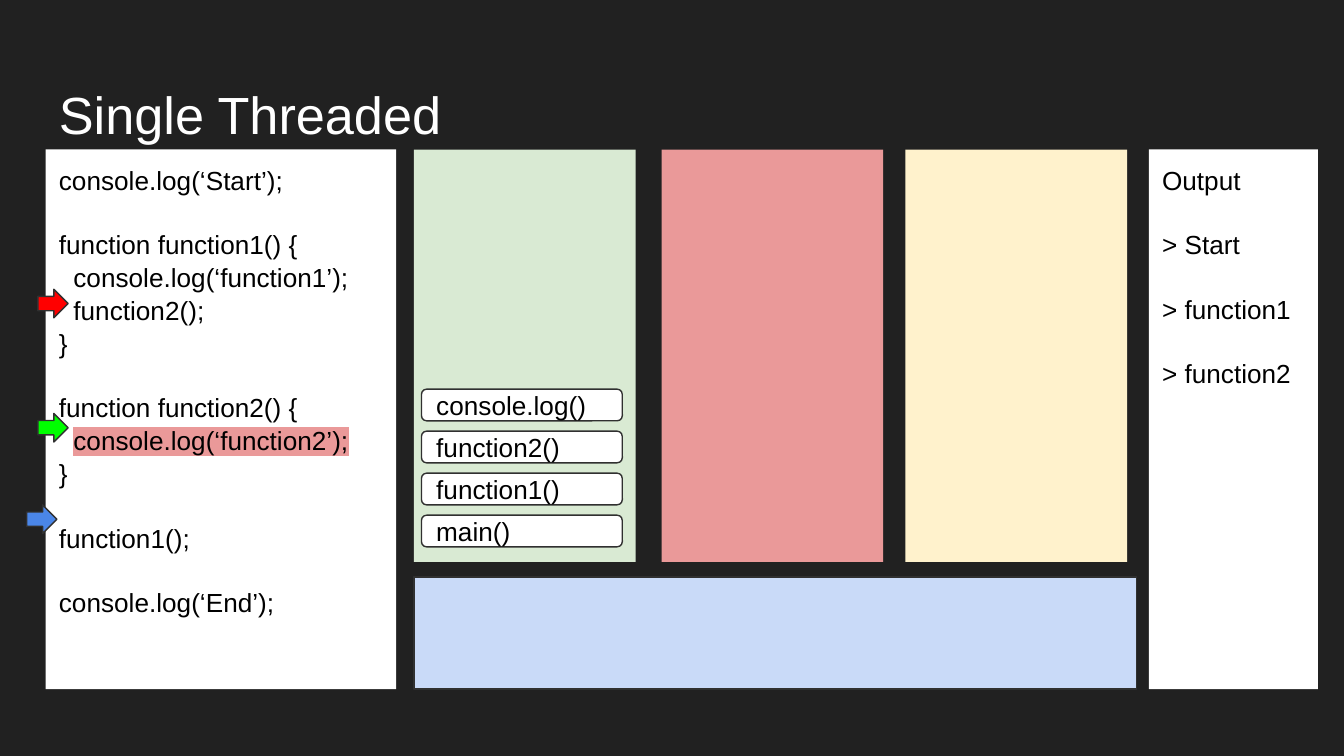
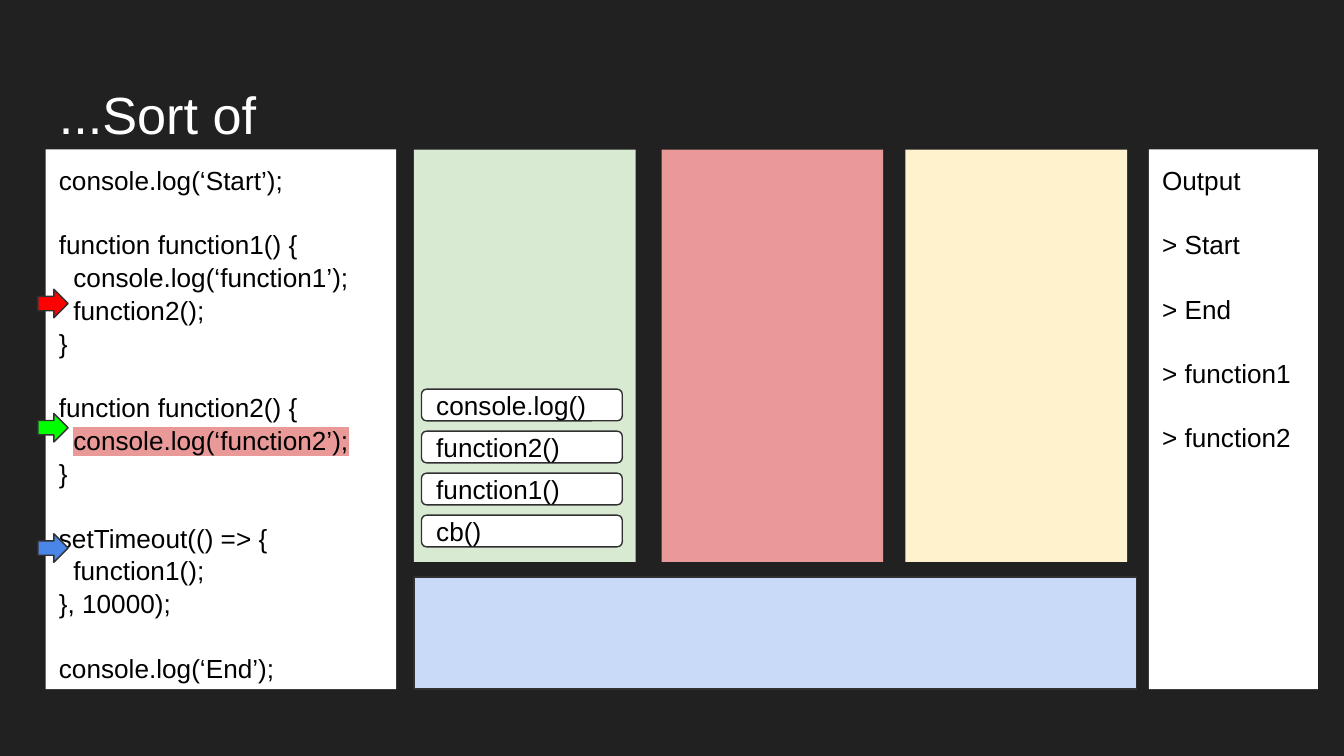
from lxml.etree import SubElement
from pptx import Presentation
from pptx.dml.color import RGBColor
from pptx.enum.shapes import MSO_SHAPE
from pptx.enum.text import MSO_ANCHOR, PP_ALIGN
from pptx.oxml.ns import qn
from pptx.util import Pt

BACKDROP = RGBColor(0x21, 0x21, 0x21)
WHITE = RGBColor(0xFF, 0xFF, 0xFF)
BLACK = RGBColor(0x00, 0x00, 0x00)
OUTLINE = RGBColor(0x30, 0x30, 0x30)
GREEN_PANEL = RGBColor(0xD9, 0xEA, 0xD3)
RED_PANEL = RGBColor(0xEA, 0x99, 0x99)
YELLOW_PANEL = RGBColor(0xFF, 0xF2, 0xCC)
BLUE_PANEL = RGBColor(0xC9, 0xDA, 0xF8)
RED = RGBColor(0xFF, 0x00, 0x00)
GREEN = RGBColor(0x00, 0xFF, 0x00)
BLUE = RGBColor(0x4A, 0x86, 0xE8)

FONT = "Arial"
BODY_SIZE = 14
TITLE_SIZE = 28
LINE_SPACING = 1.05
LINE_HEIGHT = 16.8
SPACE_WIDTH = 3.89
INSET = 7.2

PANEL_TOP = 80.1
COLUMN_HEIGHT = 220.9
SIDE_HEIGHT = 289.2
CALL_BOTTOM = 276
CALL_STEP = 22.5

FUNCTIONS = """console.log(‘Start’);

function function1() {
  console.log(‘function1’);
  function2();
}

function function2() {
  console.log(‘function2’);
}

"""
RUNNING = "console.log(‘function2’);"


class Deck:
    def __init__(self):
        self.presentation = Presentation()
        self.presentation.slide_width = Pt(720)
        self.presentation.slide_height = Pt(405)
        self.slide = None

    def new_slide(self, heading):
        self.slide = self.presentation.slides.add_slide(
            self.presentation.slide_layouts[6])
        fill = self.slide.background.fill
        fill.solid()
        fill.fore_color.rgb = BACKDROP
        title = self.slide.shapes.add_textbox(
            Pt(24.5), Pt(35.2), Pt(671), Pt(45.1))
        self.set_text(title, heading, TITLE_SIZE, WHITE)

    def set_text(self, holder, text, size=BODY_SIZE, color=BLACK,
                 anchor=MSO_ANCHOR.TOP, spacing=LINE_SPACING):
        frame = holder.text_frame
        frame.word_wrap = True
        frame.vertical_anchor = anchor
        frame.margin_left = frame.margin_right = Pt(INSET)
        frame.margin_top = frame.margin_bottom = Pt(INSET)
        paragraph = frame.paragraphs[0]
        gap = 0
        for line in text.splitlines():
            if not line:
                gap += LINE_HEIGHT
                continue
            if paragraph.runs:
                paragraph = frame.add_paragraph()
            statement = line.lstrip()
            indent = len(line) - len(statement)
            run = paragraph.add_run()
            run.text = statement
            paragraph.alignment = PP_ALIGN.LEFT
            paragraph.line_spacing = spacing
            paragraph.space_before = Pt(gap)
            paragraph.font.name = FONT
            paragraph.font.size = Pt(size)
            paragraph.font.color.rgb = color
            if indent:
                properties = paragraph._p.get_or_add_pPr()
                properties.set("marL", str(Pt(indent * SPACE_WIDTH)))
                properties.set("indent", "0")
            if statement == RUNNING:
                self.highlight(run)
            gap = 0

    def highlight(self, run):
        mark = SubElement(run._r.get_or_add_rPr(), qn("a:highlight"))
        SubElement(mark, qn("a:srgbClr")).set("val", str(RED_PANEL))

    def block(self, kind, left, top, width, height, color, outlined=False):
        block = self.slide.shapes.add_shape(
            kind, Pt(left), Pt(top), Pt(width), Pt(height))
        block.shadow.inherit = False
        block.fill.solid()
        block.fill.fore_color.rgb = color
        if outlined:
            block.line.color.rgb = OUTLINE
            block.line.width = Pt(0.75)
        else:
            block.line.fill.background()
        return block

    def panel(self, left, width, height, color, top=PANEL_TOP, outlined=False):
        return self.block(MSO_SHAPE.RECTANGLE, left, top, width, height,
                          color, outlined)

    def call(self, level, name):
        call = self.block(MSO_SHAPE.ROUNDED_RECTANGLE, 225.8,
                          CALL_BOTTOM - level * CALL_STEP, 107.6, 17,
                          WHITE, True)
        self.set_text(call, name, anchor=MSO_ANCHOR.MIDDLE, spacing=1.0)

    def pointer(self, left, top, color):
        self.block(MSO_SHAPE.RIGHT_ARROW, left, top, 16.2, 15.3, color, True)

    def event_loop(self, heading, code, output, calls, blue_pointer):
        self.new_slide(heading)
        self.set_text(self.panel(24.5, 187.7, SIDE_HEIGHT, WHITE), code)
        self.set_text(self.panel(615.5, 90.6, SIDE_HEIGHT, WHITE),
                      "\n\n".join(output))
        for left, color in ((221.7, GREEN_PANEL), (354.4, RED_PANEL),
                            (485, YELLOW_PANEL)):
            self.panel(left, 118.8, COLUMN_HEIGHT, color)
        self.panel(221.7, 387, 60, BLUE_PANEL, 309.2, True)
        for level, name in enumerate(calls):
            self.call(level, name)
        self.pointer(*blue_pointer, BLUE)
        self.pointer(20.3, 155, RED)
        self.pointer(20.3, 221.5, GREEN)


deck = Deck()
nested_calls = ["function1()", "function2()", "console.log()"]

deck.event_loop(
    "Single Threaded",
    FUNCTIONS + "function1();\n\nconsole.log(‘End’);",
    ["Output", "> Start", "> function1", "> function2"],
    ["main()"] + nested_calls,
    (14.3, 270.5))

deck.event_loop(
    "...Sort of",
    FUNCTIONS + "setTimeout(() => {\n  function1();\n}, 10000);\n\n"
    "console.log(‘End’);",
    ["Output", "> Start", "> End", "> function1", "> function2"],
    ["cb()"] + nested_calls,
    (20.3, 286))

deck.presentation.save("out.pptx")
